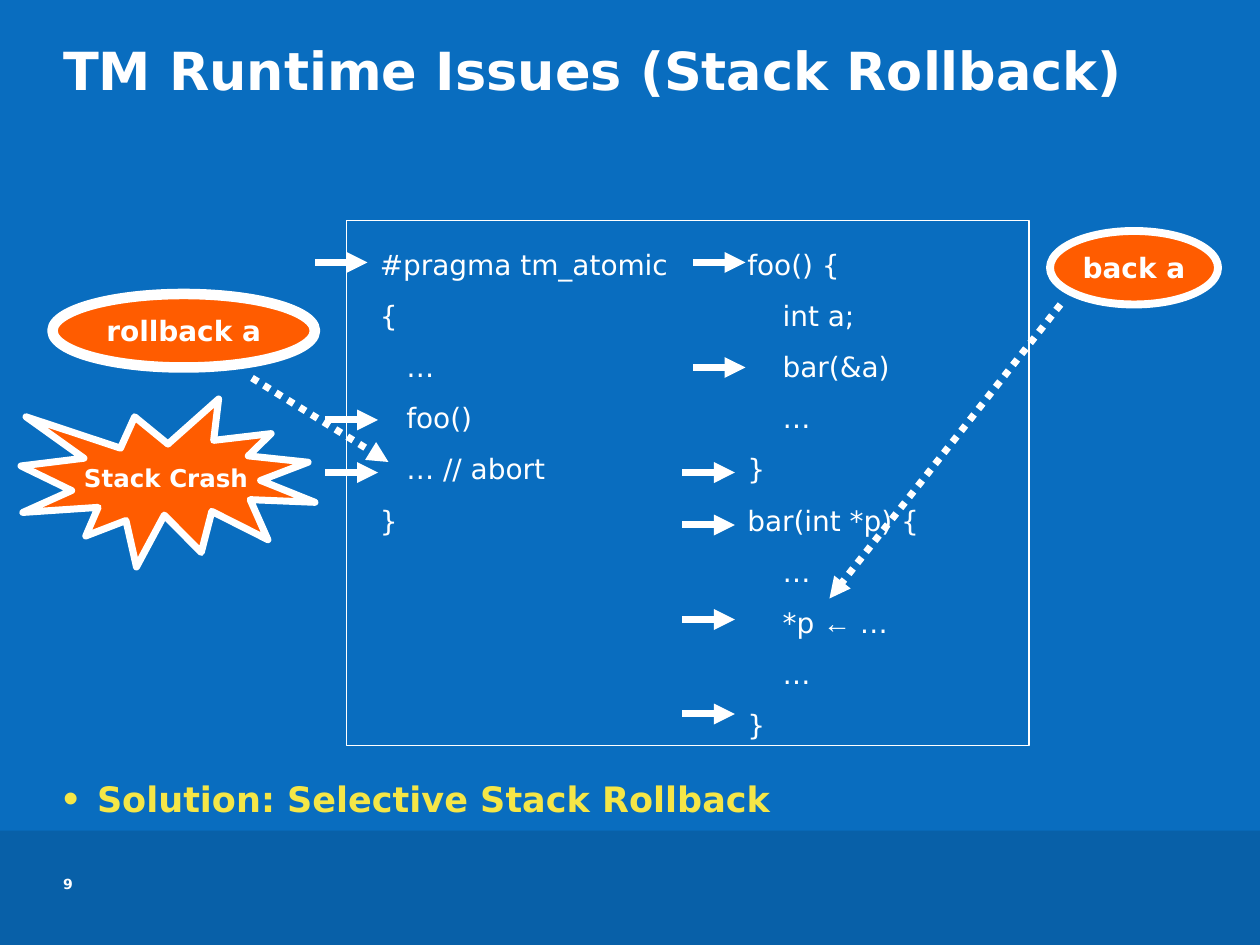
"""Build the slide on stack rollback in a transactional memory runtime."""
from dataclasses import dataclass

from lxml import etree
from pptx import Presentation
from pptx.dml.color import RGBColor
from pptx.enum.dml import MSO_LINE
from pptx.enum.shapes import MSO_CONNECTOR, MSO_SHAPE
from pptx.enum.text import MSO_ANCHOR, MSO_AUTO_SIZE, PP_ALIGN
from pptx.oxml.ns import qn
from pptx.util import Inches, Pt

BLUE = RGBColor(0x09, 0x6D, 0xBF)
DARK_BLUE = RGBColor(0x08, 0x60, 0xA8)
WHITE = RGBColor(0xFF, 0xFF, 0xFF)
ORANGE = RGBColor(0xFF, 0x5C, 0x00)
YELLOW = RGBColor(0xF5, 0xE6, 0x47)
RECTANGLE, ELLIPSE, BURST = MSO_SHAPE.RECTANGLE, MSO_SHAPE.OVAL, MSO_SHAPE.EXPLOSION1
STRAIGHT, DOTTED = MSO_CONNECTOR.STRAIGHT, MSO_LINE.ROUND_DOT
TOP, MIDDLE = MSO_ANCHOR.TOP, MSO_ANCHOR.MIDDLE
LEFT, CENTER = PP_ALIGN.LEFT, PP_ALIGN.CENTER
FIXED = MSO_AUTO_SIZE.NONE
FONT, ARROW_FONT = "DejaVu Sans", "Arial"
COLUMNS, ROWS = 120, 90
WIDTH, HEIGHT = Inches(10), Inches(7.5)
STEP_COLUMNS = 5


@dataclass(frozen=True)
class Box:
    """Place and size in grid columns and rows."""
    column: float
    row: float
    columns: float
    rows: float

    def emu(self) -> tuple[int, int, int, int]:
        """Return left, top, width and height in slide units."""
        return (across(self.column), down(self.row),
                across(self.columns), down(self.rows))


@dataclass(frozen=True)
class Listing:
    """Code lines, each with a flag for being indented."""
    box: Box
    indent: float
    lines: tuple[tuple[bool, str], ...]


@dataclass(frozen=True)
class Callout:
    """Orange labelled shape."""
    preset: int
    box: Box
    label: str
    size: float
    outline: float


@dataclass(frozen=True)
class Pointer:
    """Arrow between two grid points."""
    start: tuple[float, float]
    end: tuple[float, float]
    dotted: bool = False


FRAME = Box(33, 21, 65, 50)
BAND = Box(0, 79.1, COLUMNS, 10.9)
LISTINGS = (
    Listing(Box(35, 23, 32, 28.8), 0.21, (
        (False, "#pragma tm_atomic"), (False, "{"), (True, "…"),
        (True, "foo()"), (True, "… // abort"), (False, "}"))),
    Listing(Box(70, 23, 24, 48.2), 0.28, (
        (False, "foo() {"), (True, "int a;"), (True, "bar(&a)"), (True, "…"),
        (False, "}"), (False, "bar(int *p) {"), (True, "…"),
        (True, "*p ← …"), (True, "…"), (False, "}"))),
)
CALLOUTS = (
    Callout(BURST, Box(2, 38, 28, 16), "Stack Crash", 14, 4),
    Callout(ELLIPSE, Box(100, 22, 16, 7), "back a", 16, 4.5),
    Callout(ELLIPSE, Box(5, 28, 25, 7), "rollback a", 16, 6),
)
WRITES = (Pointer((101, 29), (79, 57), True), Pointer((24, 36), (37, 44), True))
STEPS = ((30, 25), (31, 40), (66, 25), (66, 35), (65, 50),
         (65, 59), (65, 68), (65, 45), (31, 45))


def across(columns: float) -> int:
    """Convert grid columns to slide units."""
    return round(WIDTH * columns / COLUMNS)


def down(rows: float) -> int:
    """Convert grid rows to slide units."""
    return round(HEIGHT * rows / ROWS)


def add_run(paragraph, text: str, size: float, color=WHITE, bold=False, font=FONT) -> None:
    """Append one formatted run."""
    run = paragraph.add_run()
    run.text = text
    run.font.name, run.font.size, run.font.bold = font, Pt(size), bold
    run.font.color.rgb = color


def set_margins(frame, horizontal: float, vertical: float) -> None:
    """Set the inner margins of a text frame in inches."""
    frame.margin_left = frame.margin_right = Inches(horizontal)
    frame.margin_top = frame.margin_bottom = Inches(vertical)


def place_text(shape, box: Box):
    """Place a margin-free text holder and return its first paragraph."""
    shape.left, shape.top, shape.width, shape.height = box.emu()
    frame = shape.text_frame
    set_margins(frame, 0, 0)
    frame.word_wrap, frame.auto_size, frame.vertical_anchor = True, FIXED, TOP
    paragraph = frame.paragraphs[0]
    paragraph.alignment = LEFT
    return paragraph


def add_preset(slide, preset: int, box: Box, fill=None, outline: float = 0):
    """Add a preset shape with an optional fill and white outline."""
    shape = slide.shapes.add_shape(preset, *box.emu())
    shape.shadow.inherit = False
    if fill is None:
        shape.fill.background()
    else:
        shape.fill.solid()
        shape.fill.fore_color.rgb = fill
    if outline:
        shape.line.color.rgb, shape.line.width = WHITE, Pt(outline)
    else:
        shape.line.fill.background()
    return shape


def add_listing(slide, listing: Listing) -> None:
    """Add a column of code."""
    frame = slide.shapes.add_textbox(*listing.box.emu()).text_frame
    frame.word_wrap = True
    set_margins(frame, 0.1, 0.05)
    for index, (indented, code) in enumerate(listing.lines):
        paragraph = frame.add_paragraph() if index else frame.paragraphs[0]
        paragraph.space_before = Pt(10)
        if indented:
            paragraph._p.get_or_add_pPr().set("marL", str(Inches(listing.indent)))
        before, arrow, after = code.partition("←")
        for part in filter(None, (before, arrow, after)):
            add_run(paragraph, part, 16, font=ARROW_FONT if part == arrow else FONT)


def add_callout(slide, callout: Callout) -> None:
    """Add an orange shape with a centred label."""
    frame = add_preset(slide, callout.preset, callout.box, ORANGE, callout.outline).text_frame
    frame.word_wrap, frame.vertical_anchor = False, MIDDLE
    set_margins(frame, 0.1, 0.05)
    frame.paragraphs[0].alignment = CENTER
    add_run(frame.paragraphs[0], callout.label, callout.size, bold=True)


def add_pointer(slide, pointer: Pointer) -> None:
    """Add a white arrow."""
    (x1, y1), (x2, y2) = pointer.start, pointer.end
    arrow = slide.shapes.add_connector(STRAIGHT, across(x1), down(y1), across(x2), down(y2))
    arrow.line.color.rgb, arrow.line.width = WHITE, Pt(4)
    if pointer.dotted:
        arrow.line.dash_style = DOTTED
    etree.SubElement(arrow.line._get_or_add_ln(), qn("a:tailEnd"), type="triangle")
    etree.SubElement(arrow._element.spPr, qn("a:effectLst"))


def add_bullet(paragraph) -> None:
    """Give a paragraph a yellow hanging bullet."""
    properties = paragraph._p.get_or_add_pPr()
    properties.set("marL", str(Inches(0.27)))
    properties.set("indent", str(-Inches(0.27)))
    color = etree.SubElement(properties, qn("a:buClr"))
    etree.SubElement(color, qn("a:srgbClr"), val=str(YELLOW))
    etree.SubElement(properties, qn("a:buSzPct"), val="125000")
    etree.SubElement(properties, qn("a:buChar"), char="•")


def main() -> None:
    """Build and save the slide."""
    deck = Presentation()
    deck.slide_width, deck.slide_height = WIDTH, HEIGHT
    slide = deck.slides.add_slide(deck.slide_layouts[1])
    slide.background.fill.solid()
    slide.background.fill.fore_color.rgb = BLUE
    band = add_preset(slide, RECTANGLE, BAND, DARK_BLUE)
    slide.shapes._spTree.insert(2, band._element)

    title = place_text(slide.shapes.title, Box(6, 3.6, 108, 11.6))
    add_run(title, "TM Runtime Issues (Stack Rollback)", 30, bold=True)
    solution = place_text(slide.placeholders[1], Box(6, 74, 107, 6))
    solution.space_before = Pt(10)
    add_bullet(solution)
    add_run(solution, "Solution: Selective Stack Rollback", 20, YELLOW, True)

    for listing in LISTINGS:
        add_listing(slide, listing)
    add_preset(slide, RECTANGLE, FRAME, outline=1)
    for callout in CALLOUTS:
        add_callout(slide, callout)
    steps = tuple(Pointer((x, y), (x + STEP_COLUMNS, y)) for x, y in STEPS)
    for pointer in WRITES + steps:
        add_pointer(slide, pointer)

    number = place_text(slide.shapes.add_textbox(0, 0, 0, 0), Box(6, 83.4, 5.4, 4))
    add_run(number, "9", 8, bold=True)
    deck.save("out.pptx")


if __name__ == "__main__":
    main()
